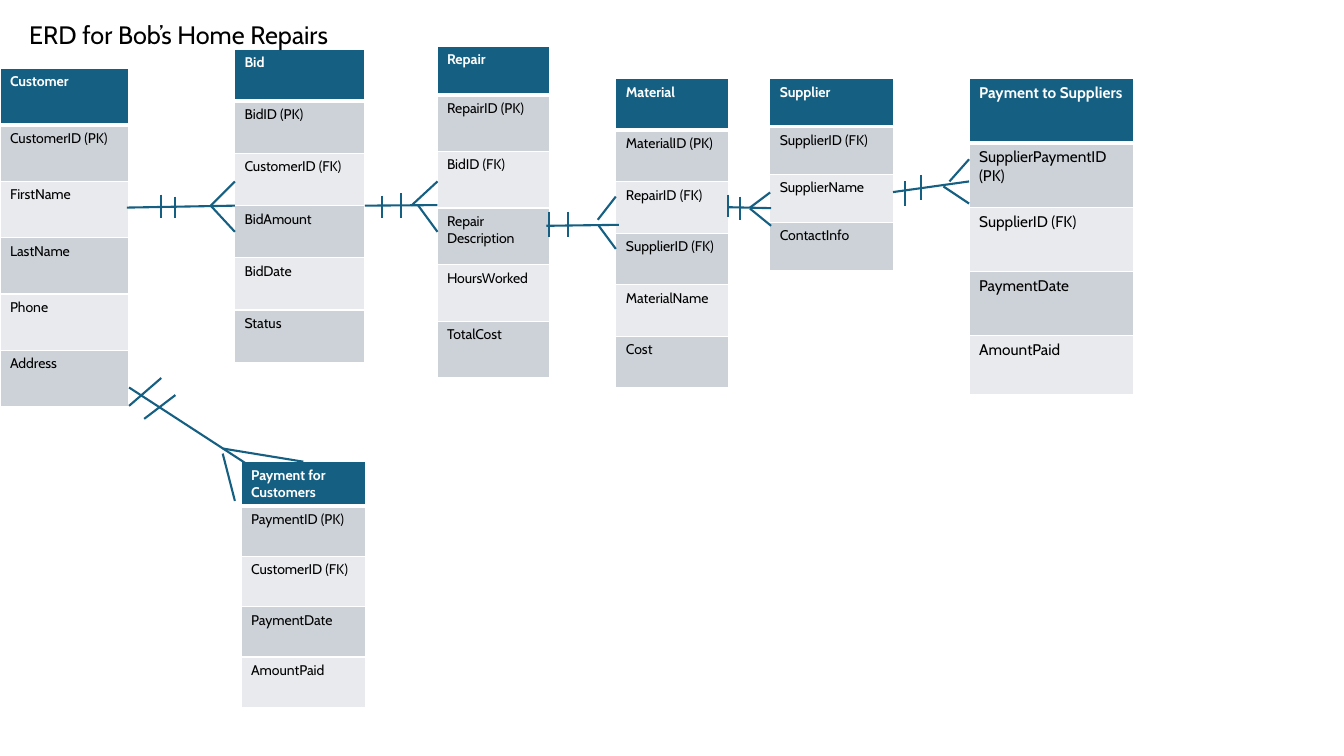
from lxml import etree
from pptx import Presentation
from pptx.dml.color import RGBColor
from pptx.enum import shapes, text
from pptx.oxml import ns
from pptx.util import Pt

BLUE, WHITE, BLACK = "156082", "FFFFFF", "000000"
BANDS = ["E8EAED", "CCD2D8"]


def hue(code):
    return RGBColor.from_string(code)


def style(font, size, bold, code):
    look = {"name": "Cabin", "size": Pt(size), "bold": bold}
    for key, value in look.items():
        setattr(font, key, value)
    font.color.rgb = hue(code)


deck = Presentation()
deck.slide_width, deck.slide_height = Pt(960), Pt(540)
slide = deck.slides.add_slide(deck.slide_layouts[5])

tables = [
    (0, 48.8, 92, 40.3, 40.3, 40.3, 10,
     ["Customer", "CustomerID (PK)", "FirstName", "LastName", "Phone", "Address"]),
    (167.5, 35.1, 92.9, 37.3, 37.3, 37.3, 10,
     ["Bid", "BidID (PK)", "CustomerID (FK)", "BidAmount", "BidDate", "Status"]),
    (312.1, 33.1, 80.6, 34.6, 40.45, 40.45, 10,
     ["Repair", "RepairID (PK)", "BidID (FK)", "Repair Description", "HoursWorked", "TotalCost"]),
    (439.9, 56.2, 80.6, 36.8, 36.8, 36.8, 10,
     ["Material", "MaterialID (PK)", "RepairID (FK)", "SupplierID (FK)", "MaterialName", "Cost"]),
    (549.8, 56.2, 88.6, 34.2, 34.2, 34.2, 10,
     ["Supplier", "SupplierID (FK)", "SupplierName", "ContactInfo"]),
    (172.2, 329.8, 88.6, 31, 36, 36, 10,
     ["Payment for Customers", "PaymentID (PK)", "CustomerID (FK)", "PaymentDate", "AmountPaid"]),
    (692.2, 56.2, 117.2, 45.9, 45.9, 42.2, 11,
     ["Payment to Suppliers", "SupplierPaymentID (PK)", "SupplierID (FK)", "PaymentDate", "AmountPaid"]),
]

for left, top, width, head, row, last, size, names in tables:
    count = len(names)
    highs = [head] + [row] * (count - 2) + [last]
    frame = slide.shapes.add_table(count, 1, Pt(left), Pt(top), Pt(width), Pt(sum(highs)))
    grid = frame.table
    for i, (name, high) in enumerate(zip(names, highs)):
        grid.rows[i].height = Pt(high)
        cell = grid.cell(i, 0)
        cell.text = name
        style(cell.text_frame.paragraphs[0].runs[0].font, size, i == 0, BLACK if i else WHITE)
        props = cell._tc.get_or_add_tcPr()
        for side in "LRTB":
            thick = 3 if (i, side) in [(0, "B"), (1, "T")] else 1
            edge = etree.SubElement(props, ns.qn("a:ln" + side), w=str(Pt(thick)))
            fill = etree.SubElement(edge, ns.qn("a:solidFill"))
            etree.SubElement(fill, ns.qn("a:srgbClr"), val=WHITE)
        cell.fill.solid()
        cell.fill.fore_color.rgb = hue(BANDS[i % 2] if i else BLUE)

strokes = [
    (90.7, 148.3, 167.8, 146.9), (150.5, 146.9, 167.8, 129.6), (150.5, 146.9, 167.8, 165.6),
    (115.2, 139, 115.2, 155.5), (125.3, 140.4, 125.3, 155.5),

    (260.6, 146.9, 312.5, 146.5), (298.8, 146.9, 312.5, 165.6), (293.8, 146.9, 312.5, 129.6),
    (272.9, 139.7, 272.9, 155.5), (286.6, 138.2, 286.6, 155.5),

    (390.2, 161.3, 442.1, 160.6), (427.7, 161.3, 439.9, 177.8), (427, 157, 439.9, 140.4),
    (405.7, 151.2, 405.7, 169.2), (392.4, 151.2, 392.4, 169.2),

    (519.8, 148, 550.8, 148.7), (535.7, 149, 550.8, 161.3), (535.7, 148.3, 550.1, 137.5),
    (528.5, 140.4, 528.5, 157), (519.8, 139, 519.8, 154.8),

    (92.2, 276.8, 179.3, 333.4), (159.1, 324, 167.8, 357.8), (159.1, 320.4, 216.7, 329.8),
    (103, 299.2, 125.3, 282.2), (92.2, 289.9, 115.2, 270),

    (637.9, 137.2, 692.2, 129.6), (673.9, 133.2, 692.2, 145.4), (678.2, 129.6, 692.2, 113.8),
    (646.6, 129.6, 646.6, 146.9), (658.1, 124.9, 658.1, 142.6),
]

for ends in strokes:
    line = slide.shapes.add_connector(shapes.MSO_CONNECTOR.STRAIGHT, *map(Pt, ends))
    line.line.color.rgb = hue(BLUE)
    line.line.width = Pt(1.5)
    etree.SubElement(line.element.spPr, ns.qn("a:effectLst"))

title = slide.shapes.title
place = {"left": 13.7, "top": 10.1, "width": 351.4, "height": 51.1}
for key, value in place.items():
    setattr(title, key, Pt(value))
box = title.text_frame
box.text = "ERD for Bob’s Home Repairs"
layout = {"vertical_anchor": text.MSO_ANCHOR.TOP, "word_wrap": True,
          "auto_size": text.MSO_AUTO_SIZE.NONE}
for key, value in layout.items():
    setattr(box, key, value)
box.paragraphs[0].alignment = text.PP_ALIGN.LEFT
style(box.paragraphs[0].runs[0].font, 18, False, BLACK)
slide.shapes.element.append(title.element)

deck.save("out.pptx")
